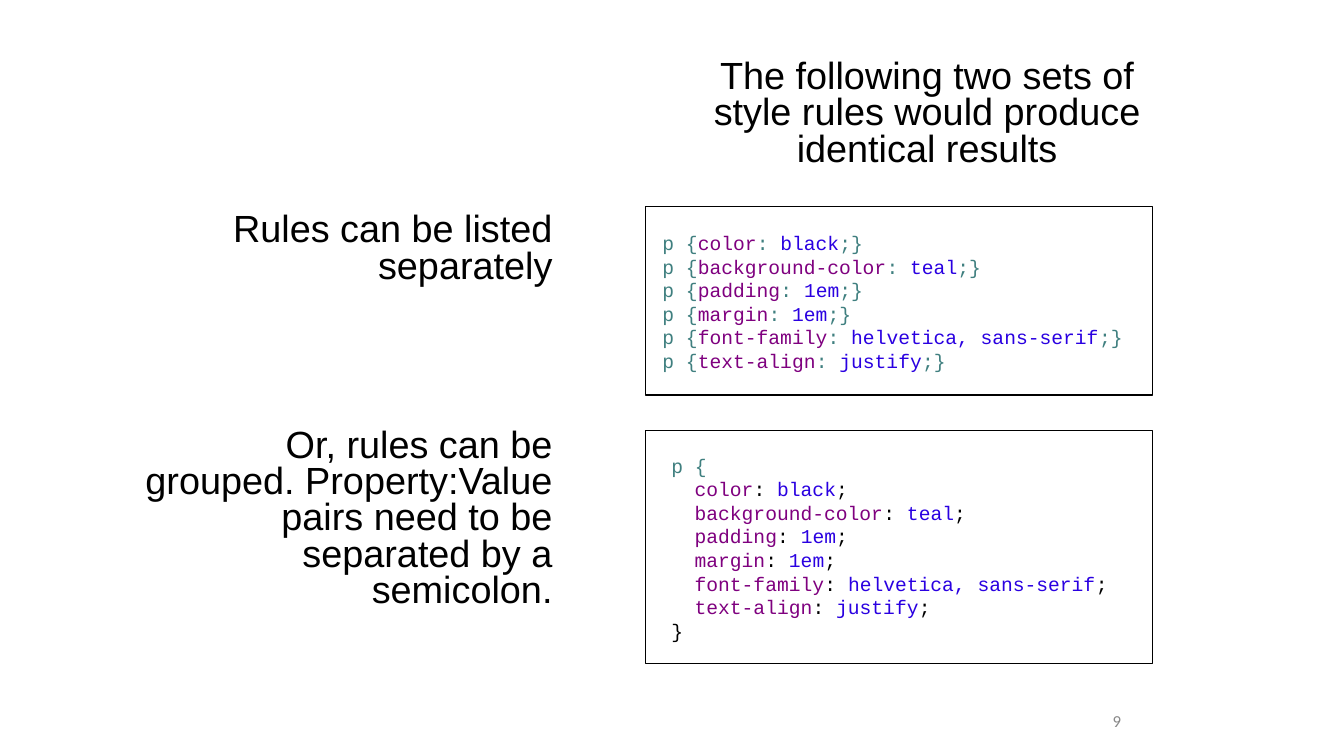
from pptx import Presentation
from pptx.dml.color import RGBColor
from pptx.enum.shapes import MSO_SHAPE
from pptx.enum.text import MSO_ANCHOR, MSO_AUTO_SIZE, PP_ALIGN
from pptx.util import Pt
from lxml.etree import SubElement
from pptx.oxml.ns import qn

PX = 9144  # 100 px to the inch
BLACK, TEAL, PURPLE, BLUE = "000000", "3F7F7F", "7F007F", "2A00E1"
HEAD = {"name": "Arial", "size": Pt(27)}
CODE = {"name": "Courier New", "size": Pt(14)}
NUM = {"name": "Calibri", "size": Pt(12)}


def frame(shape, box, inset, anchor, wrap=True):
    """Place a shape, set up its text frame and return the frame."""
    for key, val in zip(("left", "top", "width", "height"), box):
        setattr(shape, key, val * PX)
    text = shape.text_frame
    form = {"auto_size": MSO_AUTO_SIZE.NONE, "word_wrap": wrap,
            "vertical_anchor": anchor}
    for side in ("left", "top", "right", "bottom"):
        form["margin_" + side] = inset * PX
    for key, val in form.items():
        setattr(text, key, val)
    return text


def write(para, text, form, color):
    run = para.add_run()
    run.text = text
    for key, val in form.items():
        setattr(run.font, key, val)
    run.font.color.rgb = RGBColor.from_string(color)


deck = Presentation()
deck.slide_width, deck.slide_height = 1333 * PX, 750 * PX
slide = deck.slides.add_slide(deck.slide_layouts[1])
shapes = slide.shapes

# Title and body
title = frame(shapes.title, (696, 55, 447, 187), 5, MSO_ANCHOR.TOP)
body = frame(slide.placeholders[1], (136, 207, 417, 478), 5, MSO_ANCHOR.TOP)
heads = [
    (title.paragraphs[0], PP_ALIGN.CENTER, 6,
     "The following two sets of style rules would produce identical results"),
    (body.paragraphs[0], PP_ALIGN.RIGHT, 6, "Rules can be listed separately"),
    (body.add_paragraph(), PP_ALIGN.RIGHT, 102,
     "Or, rules can be grouped. Property:Value pairs need to be "
     "separated by a semicolon."),
]
for para, align, gap, text in heads:
    form = {"alignment": align, "line_spacing": 0.8, "space_before": Pt(gap)}
    for key, val in form.items():
        setattr(para, key, val)
    write(para, text, HEAD, BLACK)
    props = para._p.get_or_add_pPr()
    props.set("marL", "0")
    props.set("indent", "0")
    SubElement(props, qn("a:buNone"))

# Code boxes: each line is a list of (text, colour) and an indent
rules = [("color", "black"), ("background-color", "teal"), ("padding", "1em"),
         ("margin", "1em"), ("font-family", "helvetica, sans-serif"),
         ("text-align", "justify")]
single = [([("p {", TEAL), (prop, PURPLE), (": ", TEAL), (val, BLUE),
            (";}", TEAL)], 0) for prop, val in rules]
grouped = [([("p {", TEAL)], 0)]
grouped += [([(prop, PURPLE), (": ", BLACK), (val, BLUE), (";", BLACK)], 23)
            for prop, val in rules]
grouped += [([("}", BLACK)], 0)]

panels = [((640, 205, 503, 187), (657, 221, 485, 157), single),
          ((640, 427, 503, 231), (666, 439, 476, 209), grouped)]
for outer, inner, lines in panels:
    group = shapes.add_group_shape().shapes
    rect = group.add_shape(MSO_SHAPE.RECTANGLE, *(n * PX for n in outer))
    rect.shadow.inherit = False
    rect.fill.solid()
    rect.fill.fore_color.rgb = RGBColor.from_string("FFFFFF")
    rect.line.color.rgb = RGBColor.from_string(BLACK)
    rect.line.width = Pt(1)
    code = frame(group.add_textbox(0, 0, PX, PX), inner, 0, MSO_ANCHOR.MIDDLE)
    for row, (parts, indent) in enumerate(lines):
        para = code.add_paragraph() if row else code.paragraphs[0]
        para._p.get_or_add_pPr().set("marL", str(indent * PX))
        for text, color in parts:
            write(para, text, CODE, color)

# Page number
page = frame(shapes.add_textbox(0, 0, PX, PX), (1098, 700, 19, 30), 5,
             MSO_ANCHOR.MIDDLE, False)
page.paragraphs[0].alignment = PP_ALIGN.RIGHT
write(page.paragraphs[0], "9", NUM, "888888")

deck.save("out.pptx")
